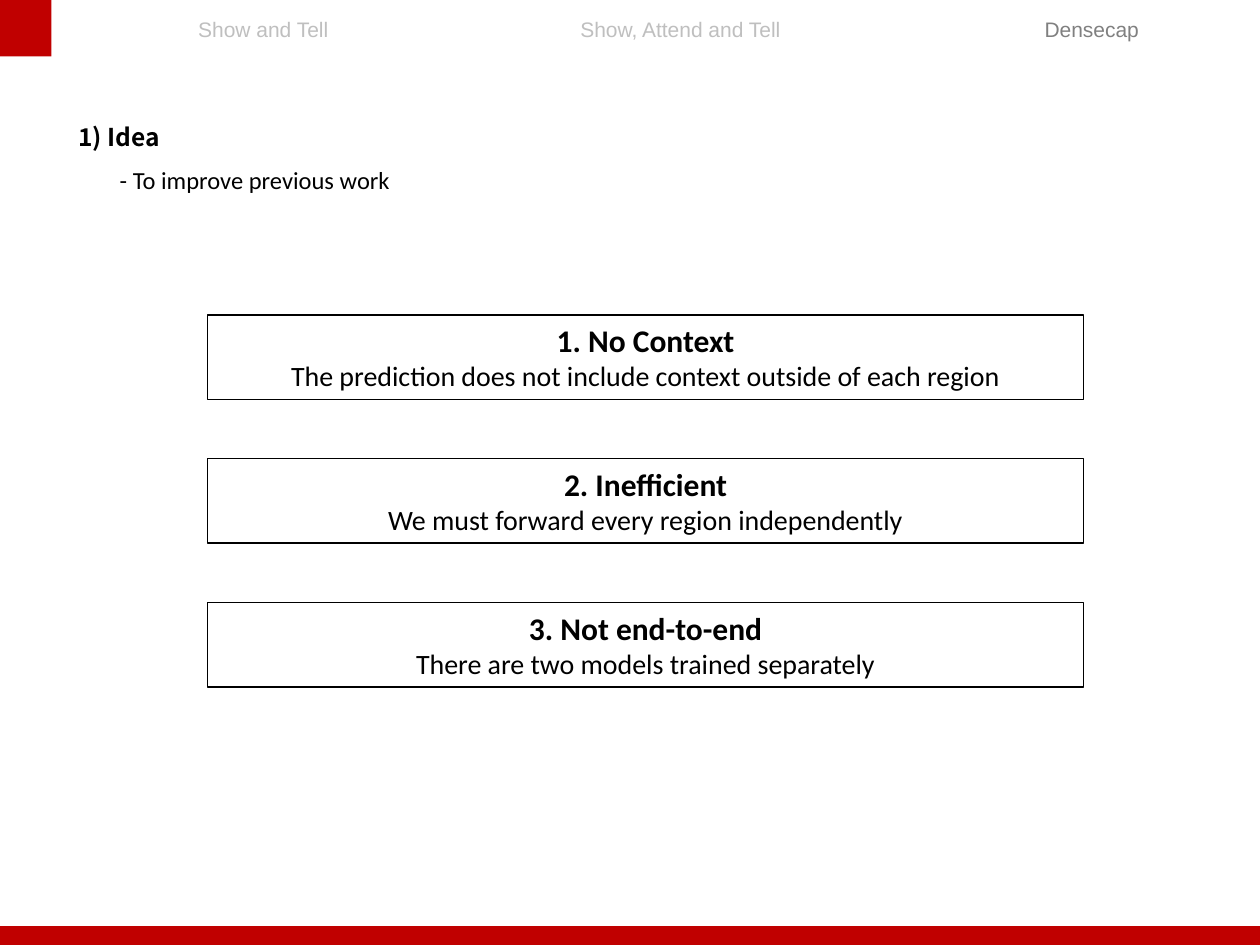
from pptx import Presentation
from pptx import util as u
from pptx.dml.color import RGBColor
from pptx.enum import shapes, text
from pptx.oxml.ns import qn
from lxml import etree

RED, BLACK = "C00000", "000000"
LIGHT, GREY = "BFBFBF", "808080"


def colour(value):
    return RGBColor.from_string(value)


def write(box, lines, align):
    """Fill a box with (wording, size, font, colour, bold) lines."""
    frame = box.text_frame
    frame.word_wrap = True
    frame.auto_size = text.MSO_AUTO_SIZE.NONE
    frame.vertical_anchor = text.MSO_ANCHOR.TOP
    for number, (wording, size, font, ink, bold) in enumerate(lines):
        para = frame.add_paragraph() if number else frame.paragraphs[0]
        para.alignment = align
        para.space_before = u.Pt(0)
        span = para.add_run()
        span.text = wording
        span.font.size = u.Pt(size)
        span.font.name = font
        span.font.bold = bold
        span.font.color.rgb = colour(ink)


deck = Presentation()
deck.slide_width, deck.slide_height = u.Cm(25.4), u.Cm(19.05)
page = deck.slides.add_slide(deck.slide_layouts[1])

# Red footer bar and corner block
for left, top, width, height in [(0, 18.67, 25.4, 0.38), (0, 0, 1.04, 1.14)]:
    block = page.shapes.add_shape(shapes.MSO_SHAPE.RECTANGLE, u.Cm(left), u.Cm(top),
                                  u.Cm(width), u.Cm(height))
    block.shadow.inherit = False
    block.fill.solid()
    block.fill.fore_color.rgb = colour(RED)
    block.line.fill.background()

# Heading and its sub-line
title, body = page.shapes.title, page.placeholders[1]
title.left, title.top, title.width, title.height = u.Cm(1.32), u.Cm(2.34), u.Cm(3.15), u.Cm(0.86)
body.left, body.top, body.width, body.height = u.Cm(2.16), u.Cm(3.2), u.Cm(6.53), u.Cm(0.86)
write(title, [("1) Idea", 14, "Noto Sans CJK KR", BLACK, True)], text.PP_ALIGN.LEFT)
write(body, [("- To improve previous work", 14, "Calibri", BLACK, False)], text.PP_ALIGN.LEFT)
settings = body.text_frame.paragraphs[0]._p.get_or_add_pPr()
settings.set("marL", "0")
settings.set("indent", "0")
etree.SubElement(settings, qn("a:buNone"))

# Three framed problems, evenly spaced
problems = [
    ("1. No Context", "The prediction does not include context outside of each region"),
    ("2. Inefficient", "We must forward every region independently"),
    ("3. Not end-to-end", "There are two models trained separately"),
]
for row, (name, detail) in enumerate(problems):
    box = page.shapes.add_shape(shapes.MSO_SHAPE.RECTANGLE, u.Cm(4.19), u.Cm(6.35 + 2.9 * row),
                                u.Cm(17.65), u.Cm(1.7))
    box.shadow.inherit = False
    box.fill.background()
    box.line.color.rgb = colour(BLACK)
    box.line.width = u.Pt(0.75)
    write(box, [(name, 18, "Calibri", BLACK, True), (detail, 16, "Calibri", BLACK, False)],
          text.PP_ALIGN.CENTER)

# Section names along the top, the current one darker
sections = [
    ("Show and Tell", 2.92, 4.78, LIGHT),
    ("Show, Attend and Tell", 10.19, 7.06, LIGHT),
    ("Densecap", 19.71, 4.6, GREY),
]
for name, left, width, ink in sections:
    box = page.shapes.add_textbox(u.Cm(left), u.Cm(0.2), u.Cm(width), u.Cm(0.76))
    write(box, [(name, 12, "Arial", ink, False)], text.PP_ALIGN.CENTER)

deck.save("out.pptx")
